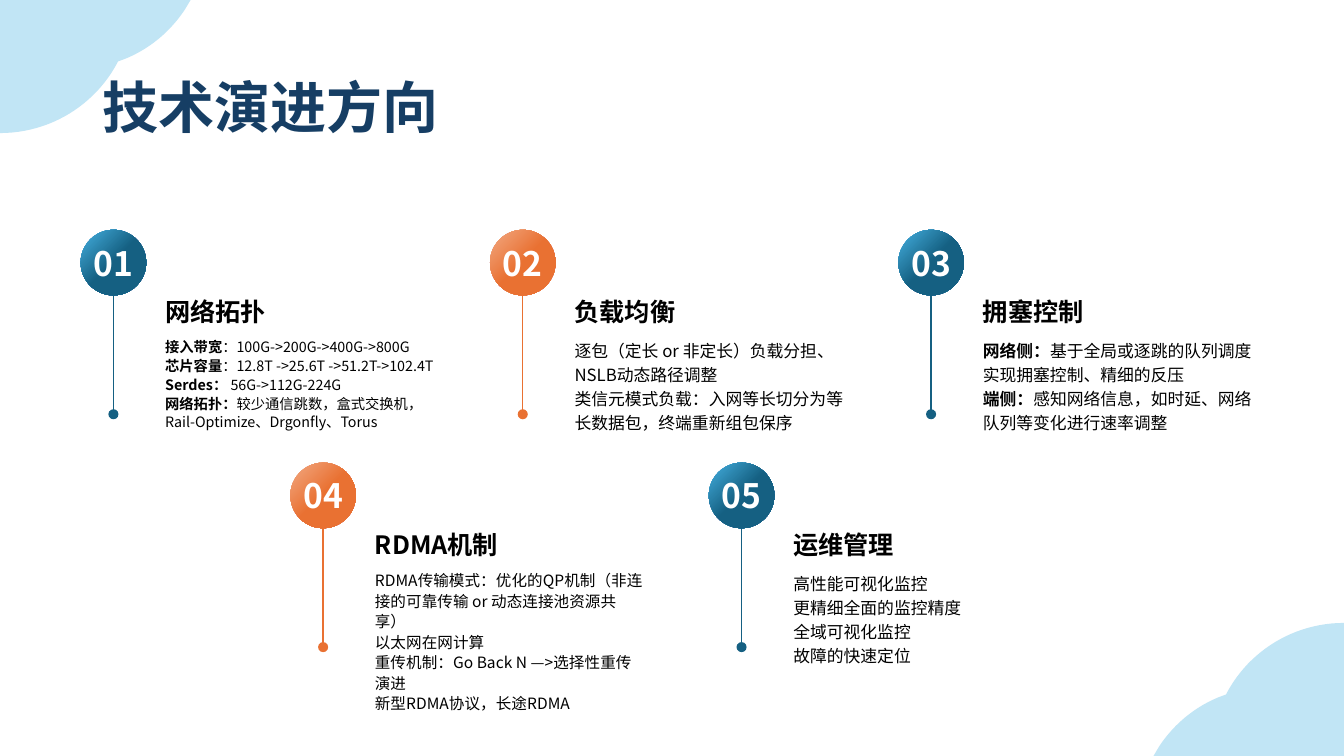
from dataclasses import dataclass

from lxml import etree
from pptx import Presentation
from pptx.dml.color import RGBColor
from pptx.enum.shapes import MSO_CONNECTOR, MSO_SHAPE
from pptx.enum.text import MSO_ANCHOR, PP_ALIGN
from pptx.oxml.ns import qn
from pptx.util import Inches, Pt

OVAL, STRAIGHT = MSO_SHAPE.OVAL, MSO_CONNECTOR.STRAIGHT
TOP, MIDDLE, BOTTOM = MSO_ANCHOR.TOP, MSO_ANCHOR.MIDDLE, MSO_ANCHOR.BOTTOM
LEFT, CENTER = PP_ALIGN.LEFT, PP_ALIGN.CENTER


@dataclass(frozen=True)
class Accent:
    light: str
    solid: str


@dataclass(frozen=True)
class Theme:
    font: str = "Noto Sans CJK SC"
    navy: str = "163E64"
    cloud: str = "C1E5F5"
    black: str = "000000"
    white: str = "FFFFFF"
    blue: Accent = Accent("46B1E1", "156082")
    orange: Accent = Accent("F2AA84", "E97132")
    title_size: float = 40
    number_size: float = 24
    heading_size: float = 18


@dataclass(frozen=True)
class Direction:
    number: str
    left: float
    top: float
    accent: Accent
    heading: str
    lines: tuple[tuple[str, str], ...]  # (bold lead, plain text)
    body_height: float
    size: float = 12
    spacing: float = 1.2


THEME = Theme()
SLIDE_W, SLIDE_H = 13.33, 7.5
UPPER, LOWER = 2.28, 4.59
BADGE, DOT, STEM_END = 0.65, 0.1, 1.84
TEXT_X, TEXT_W = 0.74, 2.87
HEADING_Y, HEADING_H = 0.41, 0.6

DIRECTIONS = (
    Direction("01", 0.8, UPPER, THEME.blue, "网络拓扑", (
        ("接入带宽", "：100G->200G->400G->800G"),
        ("芯片容量", "：12.8T ->25.6T ->51.2T->102.4T"),
        ("Serdes： ", "56G->112G-224G"),
        ("网络拓扑：", "较少通信跳数，盒式交换机，"),
        ("", "Rail-Optimize、Drgonfly、Torus"),
    ), 1.26, 10.2, 1.1),
    Direction("02", 4.86, UPPER, THEME.orange, "负载均衡", (
        ("", "逐包（定长 or 非定长）负载分担、NSLB动态路径调整"),
        ("", "类信元模式负载：入网等长切分为等长数据包，终端重新组包保序"),
    ), 1.18),
    Direction("03", 8.91, UPPER, THEME.blue, "拥塞控制", (
        ("网络侧：", "基于全局或逐跳的队列调度实现拥塞控制、精细的反压"),
        ("端侧：", "感知网络信息，如时延、网络队列等变化进行速率调整"),
    ), 1.32),
    Direction("04", 2.88, LOWER, THEME.orange, "RDMA机制", (
        ("", "RDMA传输模式：优化的QP机制（非连接的可靠传输 or 动态连接池资源共享）"),
        ("", "以太网在网计算"),
        ("", "重传机制：Go Back N —>选择性重传演进"),
        ("", "新型RDMA协议，长途RDMA"),
    ), 1.5, 11.1, 1.1),
    Direction("05", 7.03, LOWER, THEME.blue, "运维管理", (
        ("", "高性能可视化监控"),
        ("", "更精细全面的监控精度"),
        ("", "全域可视化监控"),
        ("", "故障的快速定位"),
    ), 1.5),
)


def rgb(color: str) -> RGBColor:
    return RGBColor.from_string(color)


def format_run(run, size: float, color: str, bold: bool) -> None:
    run.font.name = THEME.font
    run.font.size = Pt(size)
    run.font.bold = bold
    run.font.color.rgb = rgb(color)
    east_asian = etree.SubElement(run.font._element, qn("a:ea"))
    east_asian.set("typeface", THEME.font)


def write_line(frame, text: str, size: float, color: str, align=LEFT) -> None:
    frame.text = text
    paragraph = frame.paragraphs[0]
    paragraph.alignment = align
    format_run(paragraph.runs[0], size, color, True)


def add_title(slide, text: str) -> None:
    title = slide.shapes.title
    title.left, title.top = Inches(0.92), Inches(0.66)
    title.width, title.height = Inches(11.5), Inches(0.78)
    title.text_frame.vertical_anchor = MIDDLE
    write_line(title.text_frame, text, THEME.title_size, THEME.navy)


def bezier(p0, p1, p2, p3, steps: int = 24) -> list[tuple[float, float]]:
    points = []
    for step in range(1, steps + 1):
        t = step / steps
        weights = ((1 - t) ** 3, 3 * t * (1 - t) ** 2, 3 * t * t * (1 - t), t ** 3)
        points.append(tuple(sum(w * p[axis] for w, p in zip(weights, (p0, p1, p2, p3)))
                            for axis in (0, 1)))
    return points


def add_cloud(slide, opposite: bool) -> None:
    """Draw the top-left corner cloud, or its half turn at the opposite corner."""
    outline = [(0, 1.32), (0, 0), (1.89, 0), (1.83, 0.1)]
    outline += bezier((1.83, 0.1), (1.69, 0.31), (1.49, 0.48), (1.25, 0.58))
    outline += [(1.17, 0.61), (1.16, 0.63)]
    outline += bezier((1.16, 0.63), (0.94, 1.04), (0.5, 1.32), (0, 1.32))
    if opposite:
        outline = [(SLIDE_W - x, SLIDE_H - y) for x, y in outline]
    points = [(Inches(x), Inches(y)) for x, y in outline]
    builder = slide.shapes.build_freeform(*points[0])
    builder.add_line_segments(points[1:], close=True)
    cloud = builder.convert_to_shape()
    cloud.shadow.inherit = False
    cloud.fill.solid()
    cloud.fill.fore_color.rgb = rgb(THEME.cloud)
    cloud.line.fill.background()


def add_circle(slide, left: float, top: float, diameter: float):
    circle = slide.shapes.add_shape(OVAL, Inches(left), Inches(top),
                                    Inches(diameter), Inches(diameter))
    circle.shadow.inherit = False
    circle.line.fill.background()
    return circle


def add_text_box(slide, left: float, top: float, height: float, anchor):
    box = slide.shapes.add_textbox(Inches(left), Inches(top), Inches(TEXT_W), Inches(height))
    frame = box.text_frame
    frame.word_wrap = True
    frame.vertical_anchor = anchor
    return frame


def add_marker(slide, item: Direction) -> None:
    # Numbered badge
    badge = add_circle(slide, item.left, item.top, BADGE)
    badge.fill.gradient()
    badge.fill.gradient_angle = 315
    stops = zip(badge.fill.gradient_stops, (0, 0.5), (item.accent.light, item.accent.solid))
    for stop, position, color in stops:
        stop.position = position
        stop.color.rgb = rgb(color)
    badge.text_frame.word_wrap = False
    badge.text_frame.vertical_anchor = MIDDLE
    write_line(badge.text_frame, item.number, THEME.number_size, THEME.white, CENTER)

    # Stem and end dot
    center = item.left + BADGE / 2
    stem_end = item.top + STEM_END
    stem = slide.shapes.add_connector(STRAIGHT, Inches(center), Inches(item.top + BADGE),
                                      Inches(center), Inches(stem_end))
    stem.line.color.rgb = rgb(item.accent.solid)
    stem.line.width = Pt(1)
    etree.SubElement(stem._element.spPr, qn("a:effectLst"))
    dot = add_circle(slide, center - DOT / 2, stem_end - 0.06, DOT)
    dot.fill.solid()
    dot.fill.fore_color.rgb = rgb(item.accent.solid)


def add_direction(slide, item: Direction) -> None:
    add_marker(slide, item)
    left, top = item.left + TEXT_X, item.top + HEADING_Y
    body = add_text_box(slide, left, top + HEADING_H, item.body_height, TOP)
    for index, (lead, detail) in enumerate(item.lines):
        paragraph = body.add_paragraph() if index else body.paragraphs[0]
        paragraph.line_spacing = item.spacing
        for text, bold in ((lead, True), (detail, False)):
            if text:
                run = paragraph.add_run()
                run.text = text
                format_run(run, item.size, THEME.black, bold)
    heading = add_text_box(slide, left, top, HEADING_H, BOTTOM)
    write_line(heading, item.heading, THEME.heading_size, THEME.black)


def main() -> None:
    deck = Presentation()
    deck.slide_width, deck.slide_height = Inches(SLIDE_W), Inches(SLIDE_H)
    slide = deck.slides.add_slide(deck.slide_layouts[5])
    for opposite in (True, False):
        add_cloud(slide, opposite)
    add_title(slide, "技术演进方向")
    for item in DIRECTIONS:
        add_direction(slide, item)
    deck.save("out.pptx")


if __name__ == "__main__":
    main()
